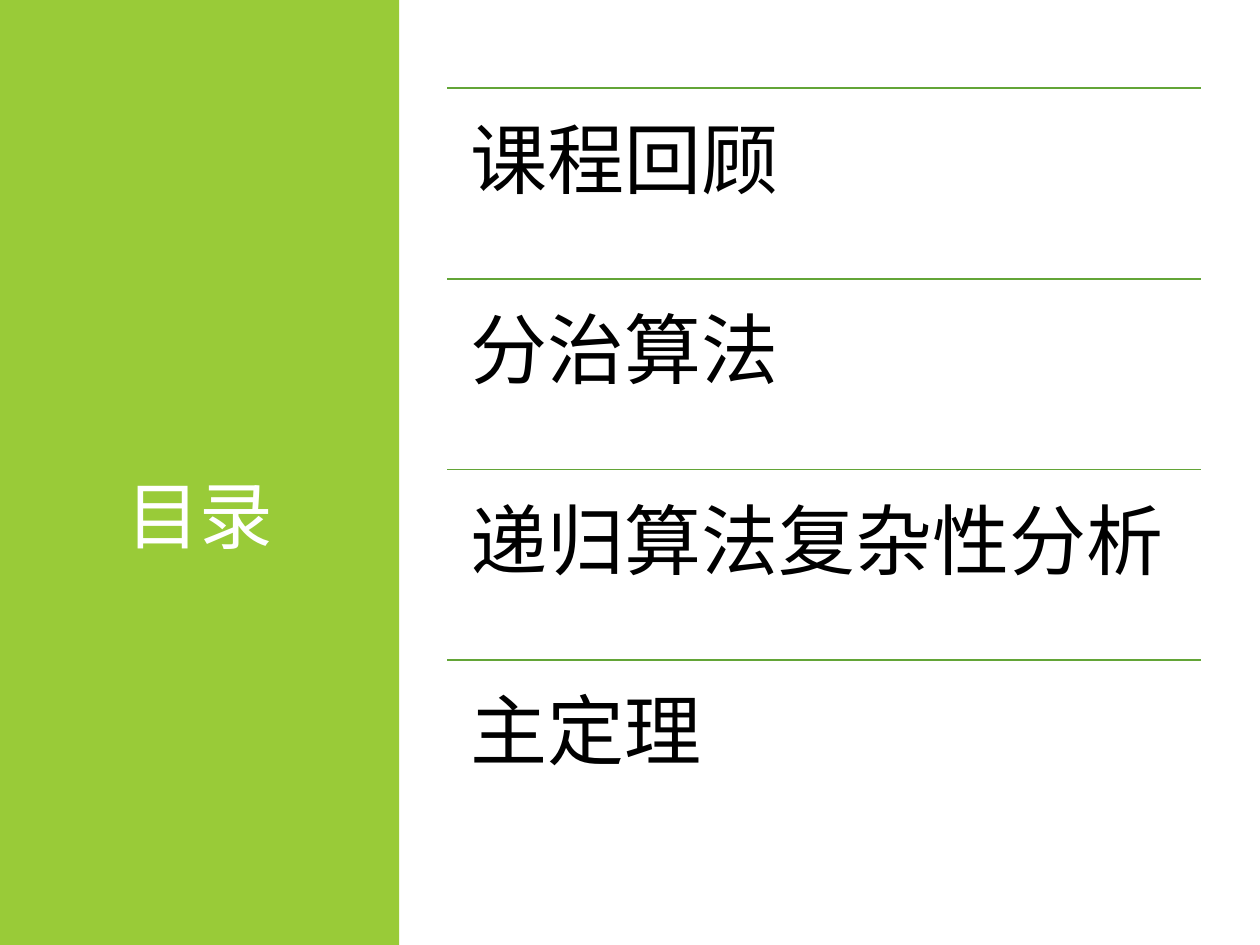
from dataclasses import dataclass

from lxml import etree
from pptx import Presentation
from pptx import util as u
from pptx.dml.color import RGBColor
from pptx.enum import shapes, text
from pptx.oxml.ns import qn


@dataclass(frozen=True)
class Theme:
    font: str = "Calibri"
    panel: str = "99CB38"
    rule: str = "63A537"
    heading: str = "FFFFFF"
    body: str = "000000"
    heading_size: int = 42
    topic_size: int = 44
    rule_width: int = 1


THEME = Theme()
TOPICS = ["课程回顾", "分治算法", "递归算法复杂性分析", "主定理"]


def add_run(paragraph, wording, size, color):
    run = paragraph.add_run()
    run.text = wording
    run.font.name = THEME.font
    run.font.size = u.Pt(size)
    run.font.color.rgb = RGBColor.from_string(color)


def add_heading_panel(slide, left, top, width, height):
    # Green panel, kept behind the title
    panel = slide.shapes.add_shape(
        shapes.MSO_SHAPE.RECTANGLE, left, top, width, height)
    panel.shadow.inherit = False
    panel.fill.solid()
    panel.fill.fore_color.rgb = RGBColor.from_string(THEME.panel)
    panel.line.fill.background()
    heading = slide.shapes.title
    heading._element.addprevious(panel._element)

    # Title in the lower half of the panel
    margin = u.Cm(0.7)
    heading.left, heading.top = left + margin, top + u.Cm(9.55)
    heading.width, heading.height = width - 2 * margin, u.Cm(7.62)
    frame = heading.text_frame
    frame.word_wrap = True
    frame.auto_size = text.MSO_AUTO_SIZE.NONE
    frame.vertical_anchor = text.MSO_ANCHOR.TOP
    paragraph = frame.paragraphs[0]
    paragraph.alignment = text.PP_ALIGN.CENTER
    paragraph.line_spacing = 0.9
    add_run(paragraph, "目录", THEME.heading_size, THEME.heading)


def add_topic_list(slide, left, top, width, height):
    topic_list = slide.shapes.add_group_shape()
    row_height = height // len(TOPICS)
    for index, topic in enumerate(TOPICS):
        row_top = top + index * row_height

        # Rule above the topic
        rule = topic_list.shapes.add_connector(
            shapes.MSO_CONNECTOR.STRAIGHT, left, row_top, left + width, row_top)
        rule.line.color.rgb = RGBColor.from_string(THEME.rule)
        rule.line.width = u.Pt(THEME.rule_width)
        etree.SubElement(rule._element.spPr, qn("a:effectLst"))

        # Topic wording
        entry = topic_list.shapes.add_textbox(left, row_top, width, row_height)
        frame = entry.text_frame
        frame.word_wrap = True
        frame.margin_left = frame.margin_right = u.Cm(0.46)
        frame.margin_top = frame.margin_bottom = u.Cm(0.46)
        add_run(frame.paragraphs[0], topic, THEME.topic_size, THEME.body)


def main():
    deck = Presentation()
    deck.slide_width, deck.slide_height = u.Cm(25.4), u.Cm(19.05)
    contents = deck.slides.add_slide(deck.slide_layouts.get_by_name("Title Only"))
    add_heading_panel(contents, 0, 0, u.Cm(8.05), deck.slide_height)
    add_topic_list(contents, u.Cm(9.02), u.Cm(1.78), u.Cm(15.19), u.Cm(15.37))
    deck.save("out.pptx")


if __name__ == "__main__":
    main()
